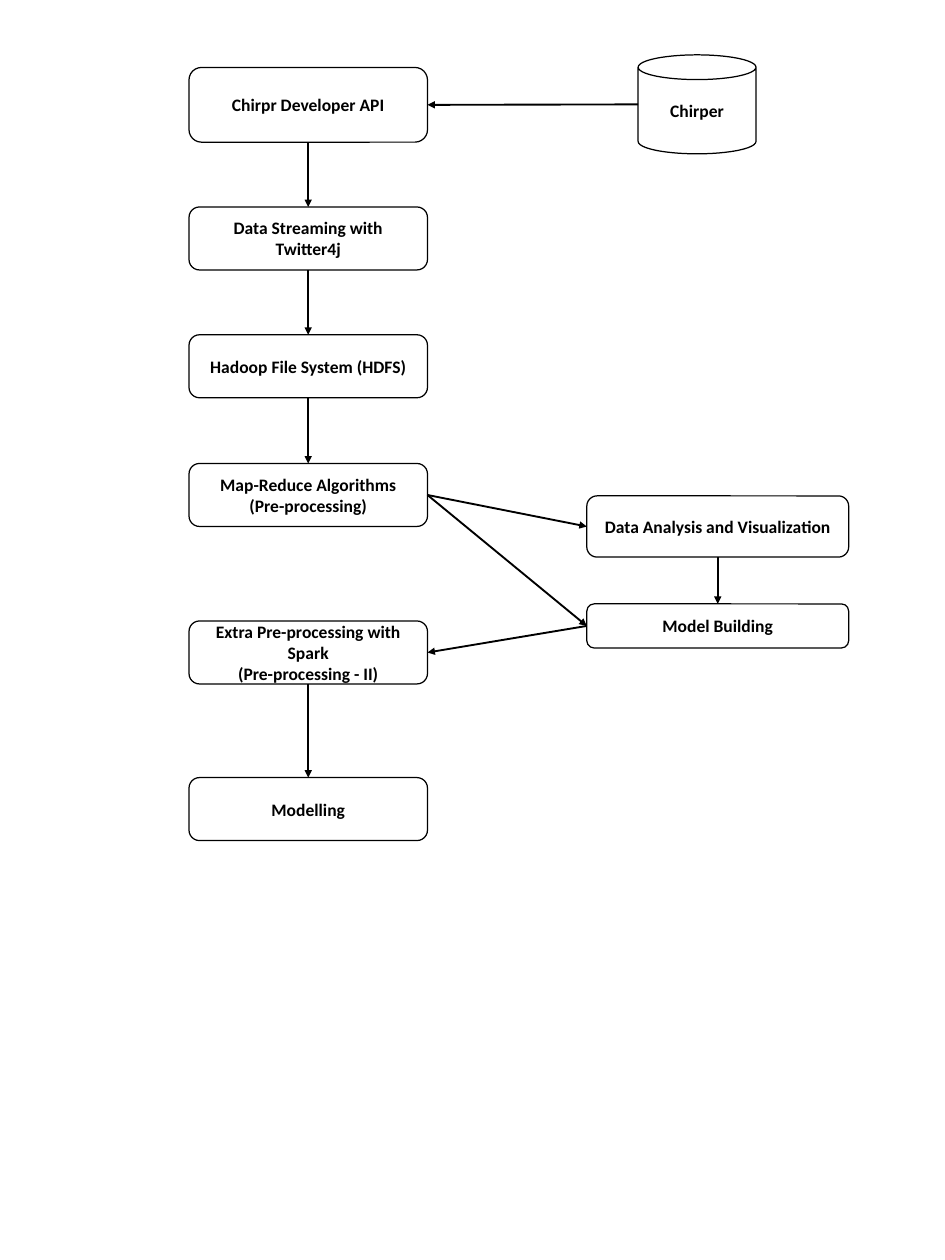
from copy import deepcopy

from pptx import Presentation
from pptx.dml.color import RGBColor
from pptx.enum.shapes import MSO_CONNECTOR, MSO_SHAPE
from pptx.enum.text import MSO_ANCHOR, PP_ALIGN
from pptx.oxml.ns import qn
from pptx.oxml.xmlchemy import OxmlElement
from pptx.util import Inches, Pt

ROUNDED = MSO_SHAPE.ROUNDED_RECTANGLE
CAN = MSO_SHAPE.CAN
STRAIGHT = MSO_CONNECTOR.STRAIGHT
MIDDLE = MSO_ANCHOR.MIDDLE
CENTER = PP_ALIGN.CENTER
BLACK = RGBColor(0x00, 0x00, 0x00)
WHITE = RGBColor(0xFF, 0xFF, 0xFF)
TOP, LEFT, BOTTOM, RIGHT = range(4)
COLUMNS, ROWS = 105, 140


def write_text(box, text, font="Calibri", size=14, bold=True, color=BLACK):
    frame = box.text_frame
    frame.word_wrap = True
    frame.vertical_anchor = MIDDLE
    para = frame.paragraphs[0]
    para.text = text
    para.alignment = CENTER
    for span in para.runs:
        span.font.name = font
        span.font.size = Pt(size)
        span.font.bold = bold
        span.font.color.rgb = color
    for line_break in para._p.findall(qn("a:br")):
        line_break.append(deepcopy(para.runs[0]._r.rPr))


class FlowChart:
    """Draws boxes and arrows on one slide, measured in grid columns and rows."""

    def __init__(self, deck, page):
        self.page = page
        self.column = deck.slide_width / COLUMNS
        self.row = deck.slide_height / ROWS

    def box(self, text, left, top, width, height, kind=ROUNDED):
        shape = self.page.shapes.add_shape(
            kind,
            round(left * self.column), round(top * self.row),
            round(width * self.column), round(height * self.row))
        shape.shadow.inherit = False
        shape.fill.solid()
        shape.fill.fore_color.rgb = WHITE
        shape.line.color.rgb = BLACK
        shape.line.width = Pt(1)
        write_text(shape, text)
        return shape

    def side_point(self, shape, side):
        across = {LEFT: 0, RIGHT: 1}.get(side, 0.5)
        down = {TOP: 0, BOTTOM: 1}.get(side, 0.5)
        return (round(shape.left + across * shape.width),
                round(shape.top + down * shape.height))

    def arrow(self, start, start_side, end, end_side):
        connector = self.page.shapes.add_connector(
            STRAIGHT,
            *self.side_point(start, start_side), *self.side_point(end, end_side))
        if start.auto_shape_type == ROUNDED:
            connector.begin_connect(start, start_side)
        connector.end_connect(end, end_side)
        connector.line.color.rgb = BLACK
        connector.line.width = Pt(1.5)
        head = OxmlElement("a:tailEnd")
        head.set("type", "triangle")
        connector.line._get_or_add_ln().append(head)
        connector._element.spPr.append(OxmlElement("a:effectLst"))


deck = Presentation()
deck.slide_width, deck.slide_height = Inches(10.5), Inches(14)
page = deck.slides.add_slide(deck.slide_layouts[6])
chart = FlowChart(deck, page)

source = chart.box("Chirper", 70.9, 6.1, 13.1, 11, kind=CAN)
api, streaming, storage, reduction, extra, modelling = [
    chart.box(text, 21, top, 26.5, height)
    for text, top, height in (
        ("Chirpr Developer API", 7.5, 8.3),
        ("Data Streaming with Twitter4j", 23, 7),
        ("Hadoop File System (HDFS)", 37.2, 7),
        ("Map-Reduce Algorithms\v(Pre-processing)", 51.5, 7),
        ("Extra Pre-processing with Spark\v(Pre-processing - II)", 69, 7),
        ("Modelling", 86.4, 7),
    )
]
analysis, building = [
    chart.box(text, 65.2, top, 29.1, height)
    for text, top, height in (
        ("Data Analysis and Visualization", 55.1, 6.8),
        ("Model Building", 67.1, 4.9),
    )
]

chart.arrow(source, LEFT, api, RIGHT)
for upper, lower in ((api, streaming), (streaming, storage), (storage, reduction),
                     (analysis, building), (extra, modelling)):
    chart.arrow(upper, BOTTOM, lower, TOP)
for target in (analysis, building):
    chart.arrow(reduction, RIGHT, target, LEFT)
chart.arrow(building, LEFT, extra, RIGHT)

deck.save("out.pptx")
